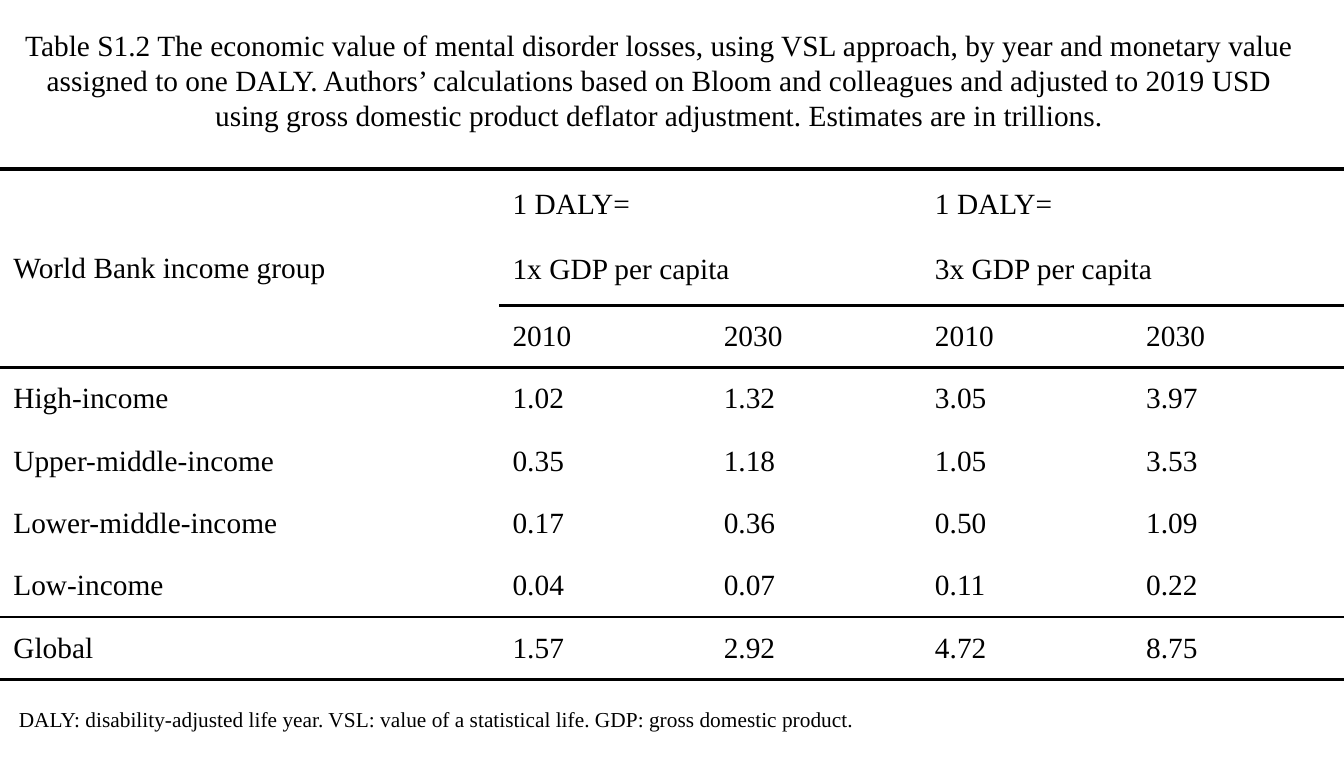
from lxml import etree
from pptx import Presentation
from pptx.dml.color import RGBColor
from pptx.enum.text import MSO_ANCHOR, MSO_AUTO_SIZE, PP_ALIGN
from pptx.oxml.ns import qn
from pptx.util import Inches, Pt

LEFT, CENTER = PP_ALIGN.LEFT, PP_ALIGN.CENTER
TOP, MIDDLE = MSO_ANCHOR.TOP, MSO_ANCHOR.MIDDLE
FIT_SHAPE = MSO_AUTO_SIZE.SHAPE_TO_FIT_TEXT
TITLE_ONLY = 5
FONT = "Times New Roman"
COLORS = {"ink": "000000", "background": "FFFFFF"}

CAPTION = (
    "Table S1.2 The economic value of mental disorder losses, using VSL approach, "
    "by year and monetary value assigned to one DALY. Authors’ calculations based on "
    "Bloom and colleagues and adjusted to 2019 USD using gross domestic product "
    "deflator adjustment. Estimates are in trillions."
)
FOOTNOTE = (
    "DALY: disability-adjusted life year. VSL: value of a statistical life. "
    "GDP: gross domestic product."
)
ROWS = [
    ["World Bank income group", "1 DALY=\n1x GDP per capita", "",
     "1 DALY=\n3x GDP per capita", ""],
    ["", "2010", "2030", "2010", "2030"],
    ["High-income", "1.02", "1.32", "3.05", "3.97"],
    ["Upper-middle-income", "0.35", "1.18", "1.05", "3.53"],
    ["Lower-middle-income", "0.17", "0.36", "0.50", "1.09"],
    ["Low-income", "0.04", "0.07", "0.11", "0.22"],
    ["Global", "1.57", "2.92", "4.72", "8.75"],
]
# Line widths in points, keyed by the row that each rule stands above
RULES = {0: 1.5, 1: 1.5, 2: 1.5, 6: 1, 7: 1.5}
# Merged header cells: first and last (row, column)
MERGES = [((0, 0), (1, 0)), ((0, 1), (0, 2)), ((0, 3), (0, 4))]


def write_text(frame, text, size=11, align=LEFT, gap=0):
    """Write one paragraph per line of text, with a gap in points between them."""
    for index, line in enumerate(text.split("\n")):
        paragraph = frame.paragraphs[0] if index == 0 else frame.add_paragraph()
        paragraph.alignment = align
        paragraph.space_before = Pt(gap if index else 0)
        run = paragraph.add_run()
        run.text = line
        run.font.size = Pt(size)
        run.font.name = FONT
        run.font.color.rgb = RGBColor.from_string(COLORS["ink"])


def place_text(shape, box, text, **text_format):
    shape.left, shape.top, shape.width, shape.height = (Inches(n) for n in box)
    frame = shape.text_frame
    frame.word_wrap = True
    frame.auto_size = FIT_SHAPE
    frame.vertical_anchor = TOP
    frame.margin_left = frame.margin_right = Inches(0.1)
    frame.margin_top = frame.margin_bottom = Inches(0.05)
    write_text(frame, text, **text_format)


def add_caption(slide, box):
    place_text(slide.shapes.title, box, CAPTION, align=CENTER)


def add_footnote(slide, box):
    shape = slide.shapes.add_textbox(0, 0, 0, 0)
    place_text(shape, box, FOOTNOTE, size=8)


def set_borders(cell, top, bottom):
    """Draw the top and bottom rules; a width of None leaves the side bare."""
    properties = cell._tc.get_or_add_tcPr()
    sides = [("a:lnL", None), ("a:lnR", None), ("a:lnT", top), ("a:lnB", bottom)]
    for index, (tag, width) in enumerate(sides):
        line = etree.Element(qn(tag))
        if width is None:
            etree.SubElement(line, qn("a:noFill"))
        else:
            line.set("w", str(Pt(width)))
            fill = etree.SubElement(line, qn("a:solidFill"))
            etree.SubElement(fill, qn("a:srgbClr"), val=COLORS["ink"])
        properties.insert(index, line)


def format_cell(cell, row, column):
    cell.fill.background()
    cell.vertical_anchor = MIDDLE
    cell.margin_left = cell.margin_right = Inches(0.07)
    cell.margin_top = cell.margin_bottom = 0
    # The rule under the group headings skips the first column
    rules = {above: width for above, width in RULES.items() if column or above != 1}
    set_borders(cell, rules.get(row), rules.get(row + 1))
    write_text(cell.text_frame, ROWS[row][column], gap=12)


def add_losses_table(slide, box):
    left, top, width, height = box
    label_width, header_height = 2.6, 0.71
    column_count = len(ROWS[0])
    frame = slide.shapes.add_table(
        len(ROWS), column_count, *(Inches(n) for n in box))
    table = frame.table
    table.first_row = table.horz_banding = False

    # The label column and header row are larger; the rest share the space
    value_width = (width - label_width) / (column_count - 1)
    for index, column in enumerate(table.columns):
        column.width = Inches(value_width if index else label_width)
    row_height = (height - header_height) / (len(ROWS) - 1)
    for index, row in enumerate(table.rows):
        row.height = Inches(row_height if index else header_height)

    for row in range(len(ROWS)):
        for column in range(column_count):
            format_cell(table.cell(row, column), row, column)
    for first, last in MERGES:
        table.cell(*first).merge(table.cell(*last))


def main():
    presentation = Presentation()
    presentation.slide_width = Inches(7)
    presentation.slide_height = Inches(4)
    slide = presentation.slides.add_slide(presentation.slide_layouts[TITLE_ONLY])
    slide.background.fill.solid()
    slide.background.fill.fore_color.rgb = RGBColor.from_string(COLORS["background"])

    add_caption(slide, (0, 0.09, 6.87, 0.66))
    add_losses_table(slide, (0, 0.88, 7, 2.66))
    add_footnote(slide, (0, 3.63, 7, 0.24))
    presentation.save("out.pptx")


if __name__ == "__main__":
    main()
